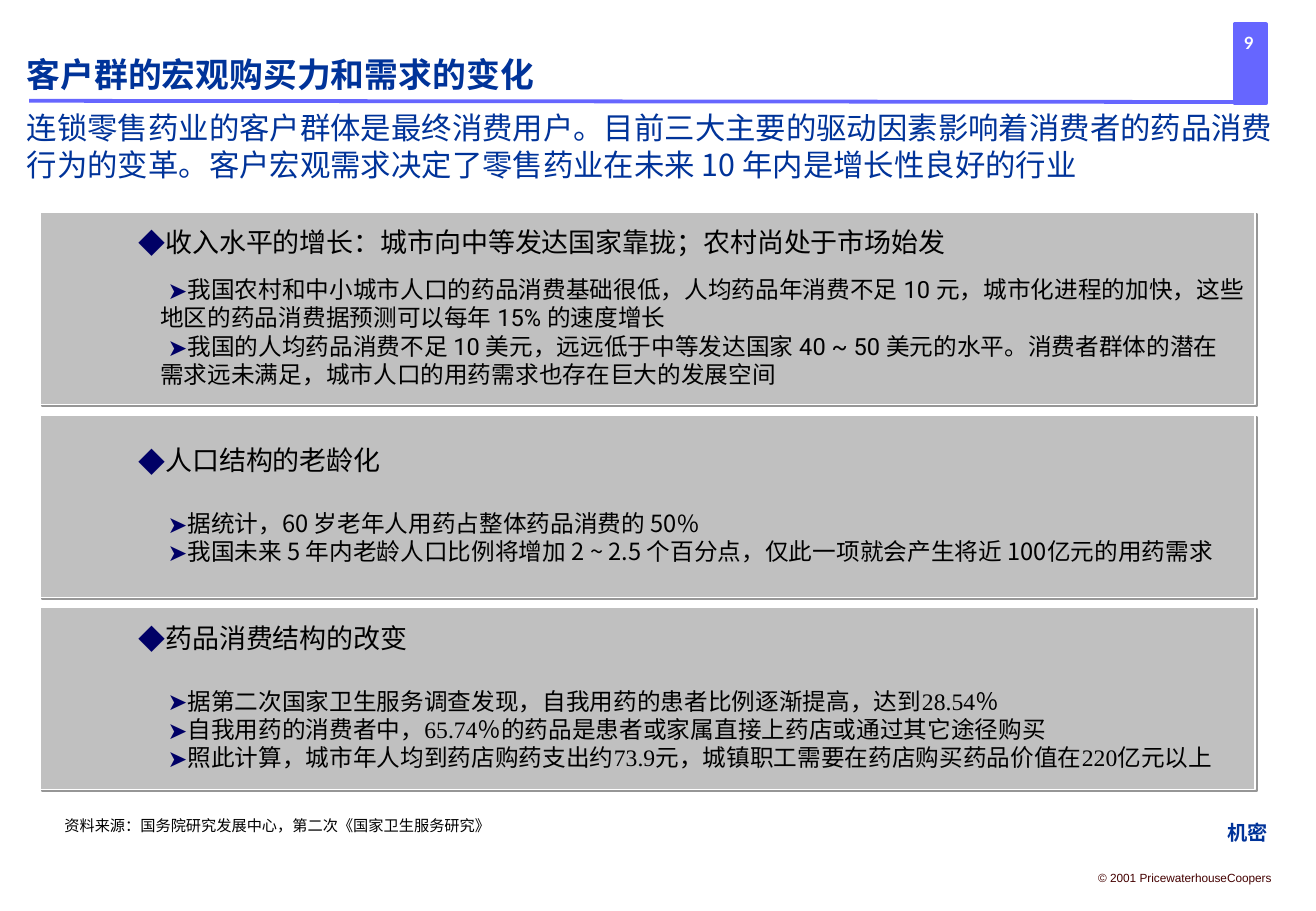
from lxml.etree import SubElement
from pptx import Presentation
from pptx.dml.color import RGBColor
from pptx.enum.shapes import MSO_CONNECTOR, MSO_SHAPE
from pptx.enum.text import MSO_ANCHOR, PP_ALIGN
from pptx.oxml.ns import qn
from pptx.util import Inches, Pt

NAVY = RGBColor(0x00, 0x33, 0x99)
VIOLET = RGBColor(0x66, 0x66, 0xFF)
GRAY = RGBColor(0xC0, 0xC0, 0xC0)
MAROON = RGBColor(0x44, 0x00, 0x00)
BLACK = RGBColor(0x00, 0x00, 0x00)
WHITE = RGBColor(0xFF, 0xFF, 0xFF)
BULLET_COLOR = "000066"
SHADOW_COLOR = "969696"
SANS = "Noto Sans CJK SC"

deck = Presentation()
deck.slide_width, deck.slide_height = Inches(10.83), Inches(7.5)
page = deck.slides.add_slide(deck.slide_layouts[6])


def add_span(para, text, size, font, color, bold=False):
    span = para.add_run()
    span.text = text
    span.font.size = Pt(size)
    span.font.name = font
    span.font.bold = bold
    span.font.color.rgb = color


def set_bullet(para, symbol, left, indent):
    properties = para._p.get_or_add_pPr()
    properties.set("marL", str(Inches(left)))
    properties.set("indent", str(Inches(indent)))
    color = SubElement(properties, qn("a:buClr"))
    SubElement(color, qn("a:srgbClr"), val=BULLET_COLOR)
    SubElement(properties, qn("a:buFont"), typeface=SANS)
    SubElement(properties, qn("a:buChar"), char=symbol)


tab = page.shapes.add_shape(
    MSO_SHAPE.RECTANGLE, Inches(10.16), Inches(0.2), Inches(0.26), Inches(0.65))
tab.shadow.inherit = False
tab.fill.solid()
tab.fill.fore_color.rgb = VIOLET
tab.line.color.rgb = VIOLET
tab.line.width = Pt(2.25)

rule = page.shapes.add_connector(
    MSO_CONNECTOR.STRAIGHT, Inches(0.24), Inches(0.83), Inches(10.28), Inches(0.84))
rule.line.color.rgb = VIOLET
rule.line.width = Pt(2.25)
SubElement(rule._element.spPr, qn("a:effectLst"))

labels = [
    ("9", 9.93, 0.25, 0.7, 0.2, MSO_ANCHOR.MIDDLE, PP_ALIGN.CENTER, 10, "Lato", WHITE, True),
    ("© 2001 PricewaterhouseCoopers", 8.94, 7.12, 1.62, 0.22,
     MSO_ANCHOR.MIDDLE, PP_ALIGN.CENTER, 7, "Arial", MAROON, False),
    ("机密", 10, 6.7, 0.53, 0.3, MSO_ANCHOR.MIDDLE, PP_ALIGN.CENTER, 12, "Arial", NAVY, True),
    ("客户群的宏观购买力和需求的变化", 0.22, 0.18, 9.71, 0.6,
     MSO_ANCHOR.BOTTOM, PP_ALIGN.LEFT, 20, SANS, NAVY, True),
    ("连锁零售药业的客户群体是最终消费用户。目前三大主要的驱动因素影响着消费者的药品消费"
     "行为的变革。客户宏观需求决定了零售药业在未来 10 年内是增长性良好的行业",
     0.22, 0.83, 10.28, 0.67, MSO_ANCHOR.BOTTOM, PP_ALIGN.LEFT, 18, SANS, NAVY, False),
    ("资料来源：国务院研究发展中心，第二次《国家卫生服务研究》", 0.53, 6.72, 5.7, 0.15,
     MSO_ANCHOR.TOP, PP_ALIGN.LEFT, 9, SANS, BLACK, False),
]
for text, left, top, width, height, anchor, align, size, font, color, bold in labels:
    box = page.shapes.add_textbox(Inches(left), Inches(top), Inches(width), Inches(height))
    frame = box.text_frame
    frame.word_wrap = align == PP_ALIGN.LEFT
    frame.vertical_anchor = anchor
    frame.margin_left = frame.margin_right = frame.margin_top = frame.margin_bottom = 0
    para = frame.paragraphs[0]
    para.alignment = align
    add_span(para, text, size, font, color, bold)

drivers = [
    (1.75, 1.58, 10, "Roboto", "收入水平的增长：城市向中等发达国家靠拢；农村尚处于市场始发", [
        "我国农村和中小城市人口的药品消费基础很低，人均药品年消费不足 10 元，城市化进程的加快，这些"
        "地区的药品消费据预测可以每年 15% 的速度增长",
        "我国的人均药品消费不足 10 美元，远远低于中等发达国家 40 ~ 50 美元的水平。消费者群体的潜在\v"
        "需求远未满足，城市人口的用药需求也存在巨大的发展空间"]),
    (3.42, 1.5, 19, SANS, "人口结构的老龄化", [
        "据统计，60 岁老年人用药占整体药品消费的 50%",
        "我国未来 5 年内老龄人口比例将增加 2 ~ 2.5 个百分点，仅此一项就会产生将近 100亿元的用药需求"]),
    (5, 1.5, 19, "Times New Roman", "药品消费结构的改变", [
        "据第二次国家卫生服务调查发现，自我用药的患者比例逐渐提高，达到28.54％",
        "自我用药的消费者中，65.74％的药品是患者或家属直接上药店或通过其它途径购买",
        "照此计算，城市年人均到药店购药支出约73.9元，城镇职工需要在药店购买药品价值在220亿元以上"]),
]
for top, height, gap, font, heading, points in drivers:
    panel = page.shapes.add_shape(
        MSO_SHAPE.RECTANGLE, Inches(0.33), Inches(top), Inches(10), Inches(height))
    panel.fill.solid()
    panel.fill.fore_color.rgb = GRAY
    panel.line.color.rgb = WHITE
    panel.line.width = Pt(1)
    panel.shadow.inherit = False
    effects = panel._element.spPr.find(qn("a:effectLst"))
    shadow = SubElement(effects, qn("a:outerShdw"), dist=str(Pt(1.4)), dir="2700000")
    SubElement(shadow, qn("a:srgbClr"), val=SHADOW_COLOR)

    frame = panel.text_frame
    frame.word_wrap = True
    frame.vertical_anchor = MSO_ANCHOR.MIDDLE
    frame.margin_left, frame.margin_right = Inches(0.81), 0
    para = frame.paragraphs[0]
    set_bullet(para, "◆", 0.18, -0.18)
    para.alignment = PP_ALIGN.LEFT
    para.line_spacing = 0.9
    para.space_after = Pt(gap)
    add_span(para, heading, 16, SANS, BLACK)
    for point in points:
        para = frame.add_paragraph()
        set_bullet(para, "➤", 0.18, 0.06)
        para.alignment = PP_ALIGN.LEFT
        for index, line in enumerate(point.split("\v")):
            if index:
                para.add_line_break()
            add_span(para, line, 14, font, BLACK)

deck.save("out.pptx")
